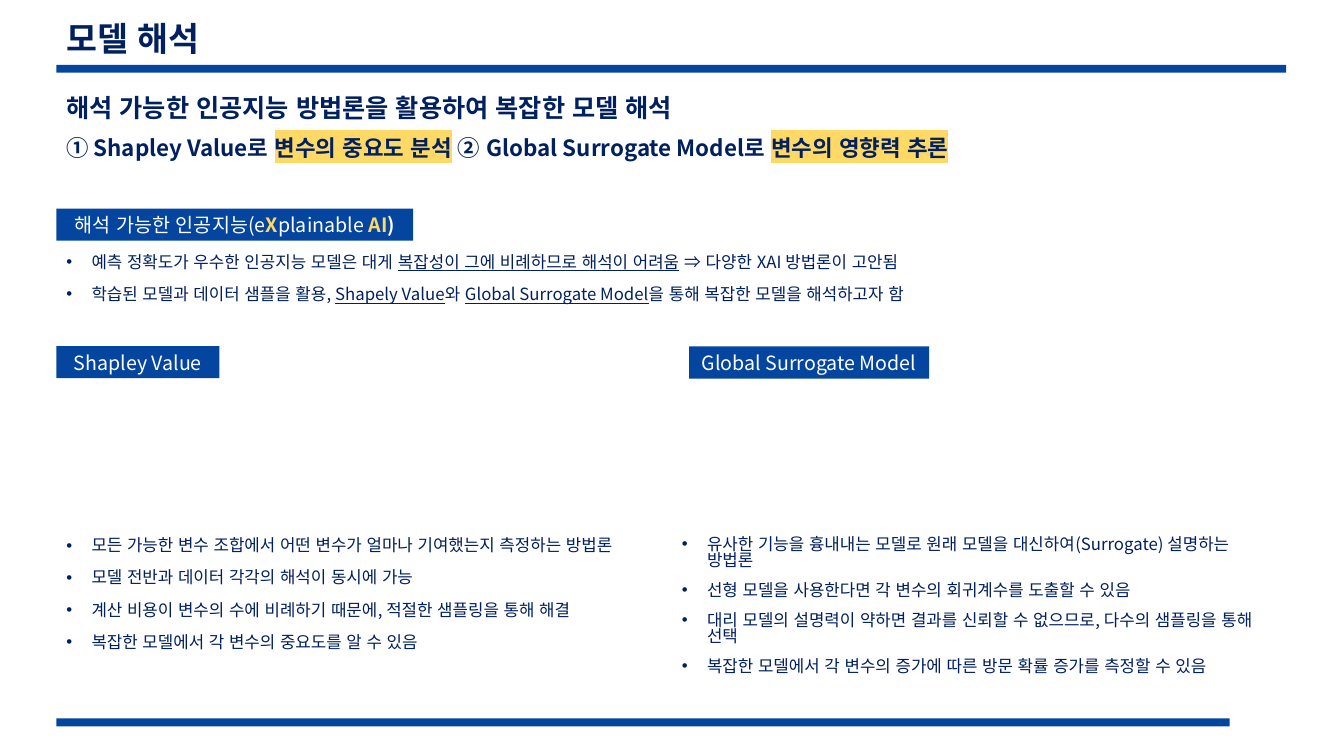
from dataclasses import dataclass
from typing import Any, Optional

from lxml.etree import SubElement
from pptx import Presentation
from pptx.dml.color import RGBColor
from pptx.enum.lang import MSO_LANGUAGE_ID as Language
from pptx.enum.shapes import MSO_SHAPE as Preset
from pptx.enum.text import MSO_ANCHOR as Anchor, PP_ALIGN as Align
from pptx.oxml.ns import qn
from pptx.util import Pt

FONT = "Noto Sans CJK KR"
NAVY = RGBColor(0x00, 0x20, 0x60)
BLUE = RGBColor(0x04, 0x46, 0x9F)
YELLOW = RGBColor(0xFF, 0xD9, 0x66)
WHITE = RGBColor(0xFF, 0xFF, 0xFF)

MARGIN = 40.3
CONTENT_WIDTH = 878.4
COLUMN_WIDTH = CONTENT_WIDTH / 2
COLUMN_TOP = 380.2
INDENT = 18


@dataclass(frozen=True)
class Box:
    left: float
    top: float
    width: float
    height: float

    def lengths(self) -> tuple[Pt, ...]:
        return tuple(Pt(v) for v in (self.left, self.top, self.width, self.height))


@dataclass(frozen=True)
class Span:
    text: str
    bold: bool = False
    underline: bool = False
    color: Optional[RGBColor] = None
    highlight: Optional[RGBColor] = None


@dataclass(frozen=True)
class Line:
    spans: tuple[Span, ...]
    size: float = 12
    bullet: bool = False


@dataclass(frozen=True)
class TextBlock:
    box: Box
    lines: tuple[Line, ...]
    spacing: float = 0.9
    before: float = 10
    anchor: Anchor = Anchor.TOP


@dataclass(frozen=True)
class Banner:
    box: Box
    spans: tuple[Span, ...] = ()


def apply(target: Any, values: dict[str, Any]) -> None:
    for attribute, value in values.items():
        setattr(target, attribute, value)


def add_span(paragraph: Any, span: Span, size: float, color: RGBColor) -> None:
    run = paragraph.add_run()
    run.text = span.text
    apply(run.font, {
        "name": FONT,
        "size": Pt(size),
        "bold": span.bold,
        "underline": span.underline,
        "language_id": Language.KOREAN,
    })
    run.font.color.rgb = span.color or color
    properties = run.font._element
    latin = properties.find(qn("a:latin"))
    if span.highlight:
        highlight = SubElement(properties, qn("a:highlight"))
        SubElement(highlight, qn("a:srgbClr"), val=str(span.highlight))
        latin.addprevious(highlight)
    east_asian = SubElement(properties, qn("a:ea"), typeface=FONT)
    latin.addnext(east_asian)


def add_bullet(paragraph: Any) -> None:
    properties = paragraph._p.get_or_add_pPr()
    properties.set("marL", str(Pt(INDENT)))
    properties.set("indent", str(-Pt(INDENT)))
    SubElement(properties, qn("a:buFont"), typeface="Arial")
    SubElement(properties, qn("a:buChar"), char="•")


def add_text_block(slide: Any, block: TextBlock) -> None:
    frame = slide.shapes.add_textbox(*block.box.lengths()).text_frame
    apply(frame, {"word_wrap": True, "vertical_anchor": block.anchor})
    for index, line in enumerate(block.lines):
        paragraph = frame.add_paragraph() if index else frame.paragraphs[0]
        apply(paragraph, {"line_spacing": block.spacing, "space_before": Pt(block.before)})
        if line.bullet:
            add_bullet(paragraph)
        for span in line.spans:
            add_span(paragraph, span, line.size, NAVY)


def add_banner(slide: Any, banner: Banner) -> None:
    shape = slide.shapes.add_shape(Preset.RECTANGLE, *banner.box.lengths())
    shape.shadow.inherit = False
    shape.fill.solid()
    shape.fill.fore_color.rgb = BLUE
    shape.line.fill.background()
    apply(shape.text_frame, {"word_wrap": True, "vertical_anchor": Anchor.MIDDLE})
    paragraph = shape.text_frame.paragraphs[0]
    paragraph.alignment = Align.CENTER
    for span in banner.spans:
        add_span(paragraph, span, 14, WHITE)


def bullets(*texts: str) -> tuple[Line, ...]:
    return tuple(Line((Span(text),), bullet=True) for text in texts)


BANNERS = (
    Banner(Box(MARGIN, 46.4, CONTENT_WIDTH, 5.6)),
    Banner(Box(MARGIN, 513.2, 838, 5.6)),
    Banner(Box(MARGIN, 149, 254.9, 23), (
        Span("해석 가능한 인공지능(e"),
        Span("X", bold=True, color=YELLOW),
        Span("plainable "),
        Span("AI", bold=True, color=YELLOW),
        Span(")", bold=True),
    )),
    Banner(Box(MARGIN, 247.2, 116.4, 23), (Span("Shapley Value"),)),
    Banner(Box(492.3, 247.4, 171.4, 23), (Span("Global Surrogate Model"),)),
)

TEXT_BLOCKS = (
    TextBlock(
        Box(MARGIN, 12.2, CONTENT_WIDTH, 33.8),
        (Line((Span("모델 해석", bold=True),), 24),),
        before=0, anchor=Anchor.MIDDLE,
    ),
    TextBlock(Box(MARGIN, 64.8, CONTENT_WIDTH, 82), (
        Line((Span("해석 가능한 인공지능 방법론을 활용하여 복잡한 모델 해석", bold=True),), 18),
        Line((
            Span("① Shapley Value로 ", bold=True),
            Span("변수의 중요도 분석", bold=True, highlight=YELLOW),
            Span(" ② Global Surrogate Model로 ", bold=True),
            Span("변수의 영향력 추론", bold=True, highlight=YELLOW),
        ), 16),
    )),
    TextBlock(Box(MARGIN, 177.8, CONTENT_WIDTH, 69), (
        Line((
            Span("예측 정확도가 우수한 인공지능 모델은 대게 "),
            Span("복잡성이 그에 비례하므로 해석이 어려움", underline=True),
            Span(" ⇒ 다양한 XAI 방법론이 고안됨"),
        ), bullet=True),
        Line((
            Span("학습된 모델과 데이터 샘플을 활용, "),
            Span("Shapely Value", underline=True),
            Span("와 "),
            Span("Global Surrogate Model", underline=True),
            Span("을 통해 복잡한 모델을 해석하고자 함"),
        ), bullet=True),
    )),
    TextBlock(Box(MARGIN, COLUMN_TOP, COLUMN_WIDTH, 113.8), bullets(
        "모든 가능한 변수 조합에서 어떤 변수가 얼마나 기여했는지 측정하는 방법론",
        "모델 전반과 데이터 각각의 해석이 동시에 가능",
        "계산 비용이 변수의 수에 비례하기 때문에, 적절한 샘플링을 통해 해결",
        "복잡한 모델에서 각 변수의 중요도를 알 수 있음",
    )),
    TextBlock(Box(MARGIN + COLUMN_WIDTH + 0.5, COLUMN_TOP, COLUMN_WIDTH, 113.8), bullets(
        "유사한 기능을 흉내내는 모델로 원래 모델을 대신하여(Surrogate) 설명하는 방법론",
        "선형 모델을 사용한다면 각 변수의 회귀계수를 도출할 수 있음",
        "대리 모델의 설명력이 약하면 결과를 신뢰할 수 없으므로, 다수의 샘플링을 통해 선택",
        "복잡한 모델에서 각 변수의 증가에 따른 방문 확률 증가를 측정할 수 있음",
    ), spacing=0.8),
)


def main() -> None:
    presentation = Presentation()
    apply(presentation, {"slide_width": Pt(960), "slide_height": Pt(540)})
    slide = presentation.slides.add_slide(presentation.slide_layouts[6])
    for banner in BANNERS:
        add_banner(slide, banner)
    for block in TEXT_BLOCKS:
        add_text_block(slide, block)
    presentation.save("out.pptx")


main()
